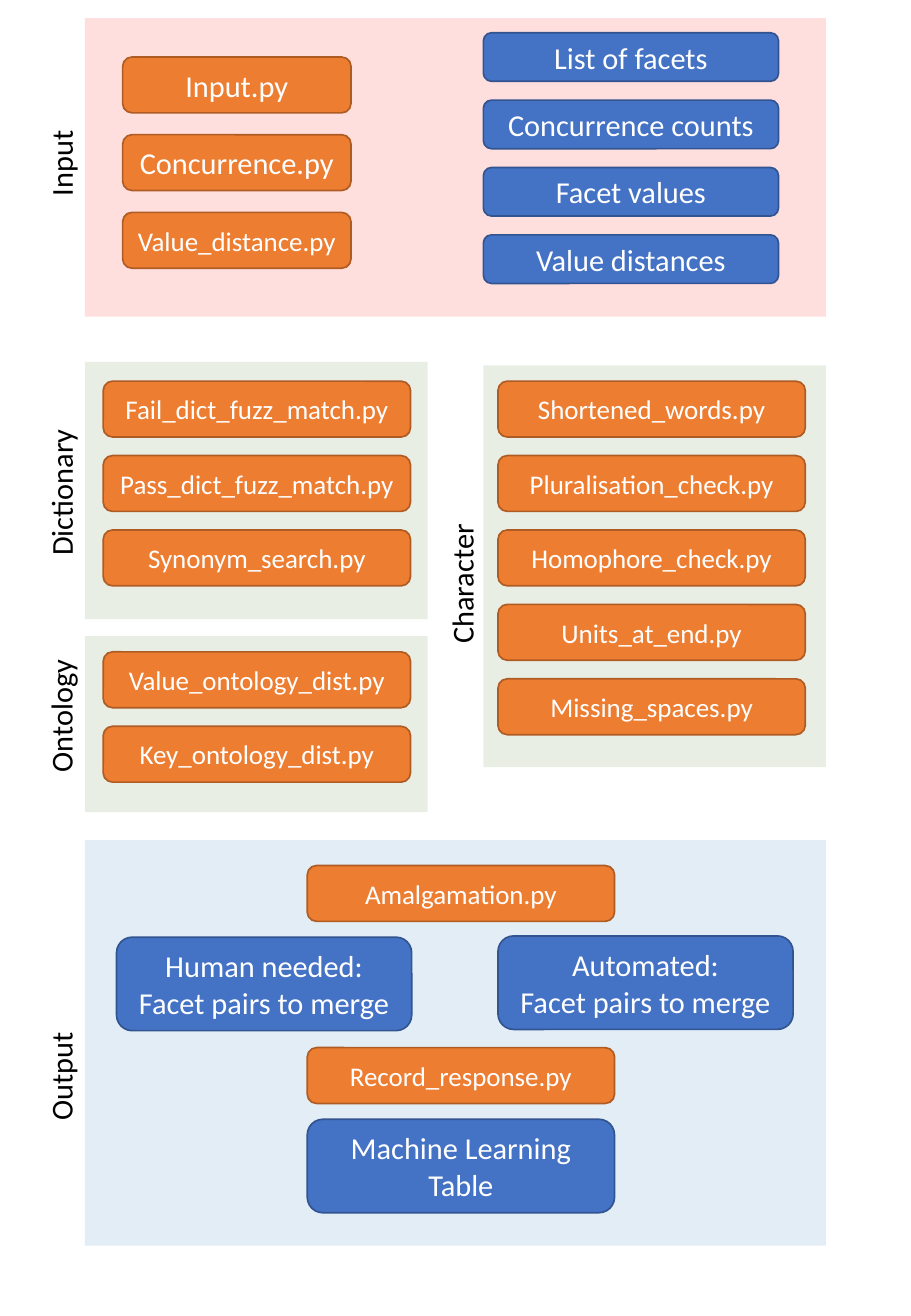
from dataclasses import dataclass

from lxml.etree import SubElement
from pptx import Presentation
from pptx.dml.color import RGBColor
from pptx.enum.shapes import MSO_SHAPE
from pptx.enum.text import MSO_ANCHOR, MSO_AUTO_SIZE, PP_ALIGN
from pptx.oxml.ns import qn
from pptx.util import Inches, Pt


@dataclass(frozen=True)
class Style:
    fill: str
    line: str


@dataclass(frozen=True)
class Theme:
    font: str = "Calibri"
    large: int = 18
    small: int = 16
    light: str = "FFFFFF"
    dark: str = "000000"
    script: Style = Style("ED7D31", "AF5C24")
    data: Style = Style("4472C4", "325491")
    input_panel: str = "FF0000"
    check_panel: str = "548235"
    output_panel: str = "2E75B6"
    panel_opacity: int = 13
    outline: float = 1


@dataclass(frozen=True)
class Box:
    left: float
    top: float
    width: float
    height: float

    def inner(self, left, top, width, height):
        """Return a box whose corner is measured from this box's corner."""
        return Box(self.left + left, self.top + top, width, height)

    def inches(self):
        return [Inches(value) for value in (self.left, self.top, self.width, self.height)]


THEME = Theme()
SCRIPT_HEIGHT = 0.46
SCRIPT_WIDTH = 2.53
DATA_WIDTH = 2.43
DATA_HEIGHT = 0.77


def add_span(para, text, size, color):
    span = para.add_run()
    span.text = text
    span.font.name = THEME.font
    span.font.size = Pt(size)
    span.font.color.rgb = RGBColor.from_string(color)


def add_block(page, kind, box, fill):
    block = page.shapes.add_shape(kind, *box.inches())
    block.shadow.inherit = False
    block.fill.solid()
    block.fill.fore_color.rgb = RGBColor.from_string(fill)
    return block


def draw_panel(page, box, color):
    panel = add_block(page, MSO_SHAPE.RECTANGLE, box, color)
    panel.line.fill.background()
    tint = panel.element.spPr.find(qn("a:solidFill"))[0]
    SubElement(tint, qn("a:alpha"), val=str(THEME.panel_opacity * 1000))


def draw_label(page, panel, text, length, middle, gap=0.2):
    """Write upward text left of the panel, centred at middle below its top."""
    height = 0.4
    box = panel.inner(-gap - length / 2, middle - height / 2, length, height)
    label = page.shapes.add_textbox(*box.inches())
    label.rotation = 270
    frame = label.text_frame
    frame.word_wrap = False
    frame.auto_size = MSO_AUTO_SIZE.SHAPE_TO_FIT_TEXT
    add_span(frame.paragraphs[0], text, THEME.large, THEME.dark)


def draw_card(page, box, style, size, *lines):
    card = add_block(page, MSO_SHAPE.ROUNDED_RECTANGLE, box, style.fill)
    card.line.color.rgb = RGBColor.from_string(style.line)
    card.line.width = Pt(THEME.outline)
    frame = card.text_frame
    frame.word_wrap = True
    frame.vertical_anchor = MSO_ANCHOR.MIDDLE
    for index, line in enumerate(lines):
        para = frame.add_paragraph() if index else frame.paragraphs[0]
        para.alignment = PP_ALIGN.CENTER
        add_span(para, line, size, THEME.light)


def draw_stack(page, first, pitch, style, items):
    """Draw (text, size) cards downward at an equal pitch from the first box."""
    for index, (text, size) in enumerate(items):
        box = first.inner(0, index * pitch, first.width, first.height)
        draw_card(page, box, style, size, text)


def draw_input(page, box):
    draw_panel(page, box, THEME.input_panel)
    draw_label(page, box, "Input", 0.75, 1.19)
    scripts = [("Input.py", THEME.large), ("Concurrence.py", THEME.large),
               ("Value_distance.py", THEME.small)]
    draw_stack(page, box.inner(0.31, 0.32, 1.88, SCRIPT_HEIGHT), 0.64, THEME.script, scripts)
    tables = ["List of facets", "Concurrence counts", "Facet values", "Value distances"]
    draw_stack(page, box.inner(3.28, 0.12, DATA_WIDTH, 0.4), 0.555, THEME.data,
               [(table, THEME.large) for table in tables])


def draw_checks(page, box, inset, names):
    """Draw a panel of check scripts; inset is the first card's (left, top)."""
    draw_panel(page, box, THEME.check_panel)
    first = box.inner(*inset, SCRIPT_WIDTH, SCRIPT_HEIGHT)
    draw_stack(page, first, 0.613, THEME.script, [(name, THEME.small) for name in names])


def draw_output(page, box):
    draw_panel(page, box, THEME.output_panel)
    draw_label(page, box, "Output", 0.94, 1.94)
    middle = 1.83
    draw_stack(page, box.inner(middle, 0.21, SCRIPT_WIDTH, SCRIPT_HEIGHT), 1.5, THEME.script,
               [("Amalgamation.py", THEME.small), ("Record_response.py", THEME.small)])
    results = [
        (0.26, 0.8, DATA_WIDTH, ("Human needed:", "Facet pairs to merge")),
        (3.4, 0.79, DATA_WIDTH, ("Automated:", "Facet pairs to merge")),
        (middle, 2.3, SCRIPT_WIDTH, ("Machine Learning", "Table")),
    ]
    for left, top, width, lines in results:
        draw_card(page, box.inner(left, top, width, DATA_HEIGHT), THEME.data, THEME.large, *lines)


def main():
    deck = Presentation()
    deck.slide_width, deck.slide_height = Inches(7.5), Inches(10.84)
    page = deck.slides.add_slide(deck.slide_layouts[6])

    draw_input(page, Box(0.7, 0.15, 6.1, 2.46))

    dictionary = Box(0.7, 2.98, 2.82, 2.12)
    draw_checks(page, dictionary, (0.15, 0.16),
                ["Fail_dict_fuzz_match.py", "Pass_dict_fuzz_match.py", "Synonym_search.py"])
    draw_label(page, dictionary, "Dictionary", 1.25, 1.07)

    ontology = Box(0.7, 5.24, 2.82, 1.45)
    draw_checks(page, ontology, (0.15, 0.13),
                ["Value_ontology_dist.py", "Key_ontology_dist.py"])
    draw_label(page, ontology, "Ontology", 1.14, 0.65)

    character = Box(3.98, 3.01, 2.82, 3.31)
    draw_checks(page, character, (0.12, 0.13),
                ["Shortened_words.py", "Pluralisation_check.py", "Homophore_check.py",
                 "Units_at_end.py", "Missing_spaces.py"])
    draw_label(page, character, "Character", 1.2, 1.79, gap=0.18)

    draw_output(page, Box(0.7, 6.92, 6.1, 3.34))
    deck.save("out.pptx")


if __name__ == "__main__":
    main()
